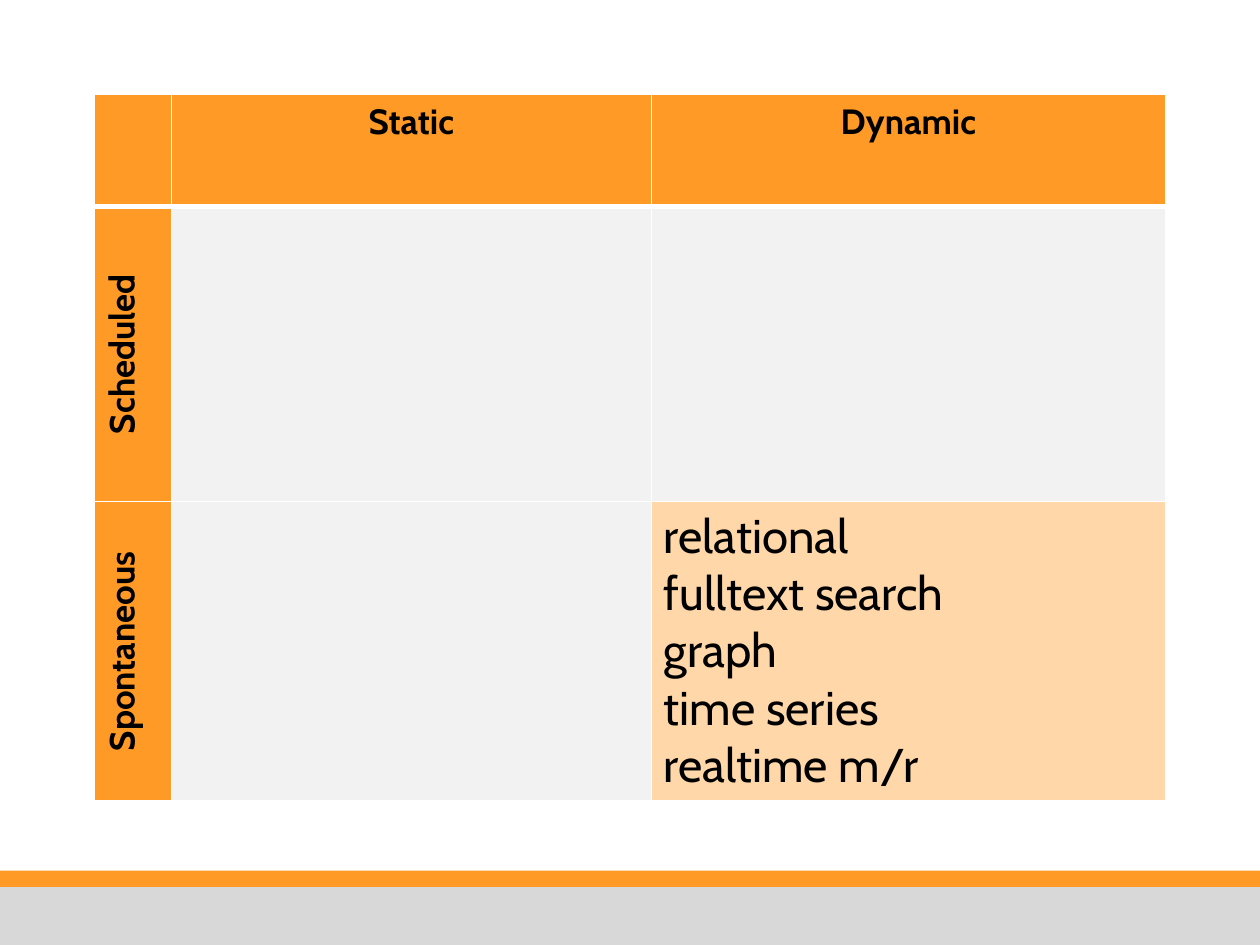
from dataclasses import dataclass

from lxml.etree import SubElement
from pptx import Presentation
from pptx.dml.color import RGBColor
from pptx.enum.shapes import MSO_SHAPE
from pptx.enum.text import PP_ALIGN
from pptx.oxml.ns import qn
from pptx.util import Inches, Pt


@dataclass(frozen=True)
class Theme:
    font: str = "Cabin"
    text: str = "000000"
    accent: str = "FE9A25"
    highlight: str = "FFD7A8"
    empty: str = "F2F2F2"
    footer: str = "D8D8D8"
    border: str = "FFFFFF"
    heading_size: int = 20
    body_size: int = 27
    thin: int = 1
    thick: int = 3


def write_text(tf, text, theme, size, bold=False, align=PP_ALIGN.LEFT):
    """Write each line of text as one paragraph."""
    for i, line in enumerate(text.split("\n")):
        p = tf.paragraphs[0] if i == 0 else tf.add_paragraph()
        p.alignment = align
        r = p.add_run()
        r.text = line
        r.font.name = theme.font
        r.font.size = Pt(size)
        r.font.bold = bold
        r.font.color.rgb = RGBColor.from_string(theme.text)


class SlideBuilder:
    def __init__(self, slide, theme):
        self.s = slide
        self.theme = theme

    def bar(self, top, height, color):
        sp = self.s.shapes.add_shape(
            MSO_SHAPE.RECTANGLE, 0, Inches(top), Inches(10), Inches(height))
        sp.shadow.inherit = False
        sp.fill.solid()
        sp.fill.fore_color.rgb = RGBColor.from_string(color)
        sp.line.fill.background()

    def table(self, left, top, widths, heights):
        tbl = self.s.shapes.add_table(
            len(heights), len(widths), Inches(left), Inches(top),
            Inches(sum(widths)), Inches(sum(heights))).table
        for col, width in zip(tbl.columns, widths):
            col.width = Inches(width)
        for row, height in zip(tbl.rows, heights):
            row.height = Inches(height)
        return tbl

    def borders(self, cell, top, bottom):
        """Draw all four sides; top and bottom are widths in points."""
        tcPr = cell._tc.get_or_add_tcPr()
        thin = self.theme.thin
        for side, width in zip("LRTB", (thin, thin, top, bottom)):
            ln = SubElement(tcPr, qn(f"a:ln{side}"), w=str(Pt(width)))
            fill = SubElement(ln, qn("a:solidFill"))
            SubElement(fill, qn("a:srgbClr"), val=self.theme.border)

    def cell(self, cell, color, text="", vertical=False, **fmt):
        cell.fill.solid()
        cell.fill.fore_color.rgb = RGBColor.from_string(color)
        if vertical:
            cell._tc.get_or_add_tcPr().set("vert", "vert270")
        if text:
            write_text(cell.text_frame, text, self.theme, **fmt)


def main():
    theme = Theme()
    prs = Presentation()
    prs.slide_width, prs.slide_height = Inches(10), Inches(7.5)
    slide = SlideBuilder(prs.slides.add_slide(prs.slide_layouts[6]), theme)

    slide.bar(6.91, 0.17, theme.accent)
    slide.bar(7.04, 0.46, theme.footer)

    rows = [
        ["", "Static", "Dynamic"],
        ["Scheduled", "", ""],
        ["Spontaneous", "",
         "relational\nfulltext search\ngraph\ntime series\nrealtime m/r"],
    ]
    tbl = slide.table(0.75, 0.75, [0.61, 3.81, 4.08], [0.89, 2.34, 2.34])
    for i, row in enumerate(rows):
        for j, text in enumerate(row):
            cell = tbl.cell(i, j)
            slide.borders(cell, top=theme.thick if i == 1 else theme.thin,
                          bottom=theme.thick if i == 0 else theme.thin)
            if i == 0 or j == 0:
                slide.cell(cell, theme.accent, text, vertical=i > 0,
                           size=theme.heading_size, bold=True,
                           align=PP_ALIGN.CENTER)
            else:
                slide.cell(cell, theme.highlight if text else theme.empty,
                           text, size=theme.body_size)

    prs.save("out.pptx")


if __name__ == "__main__":
    main()
